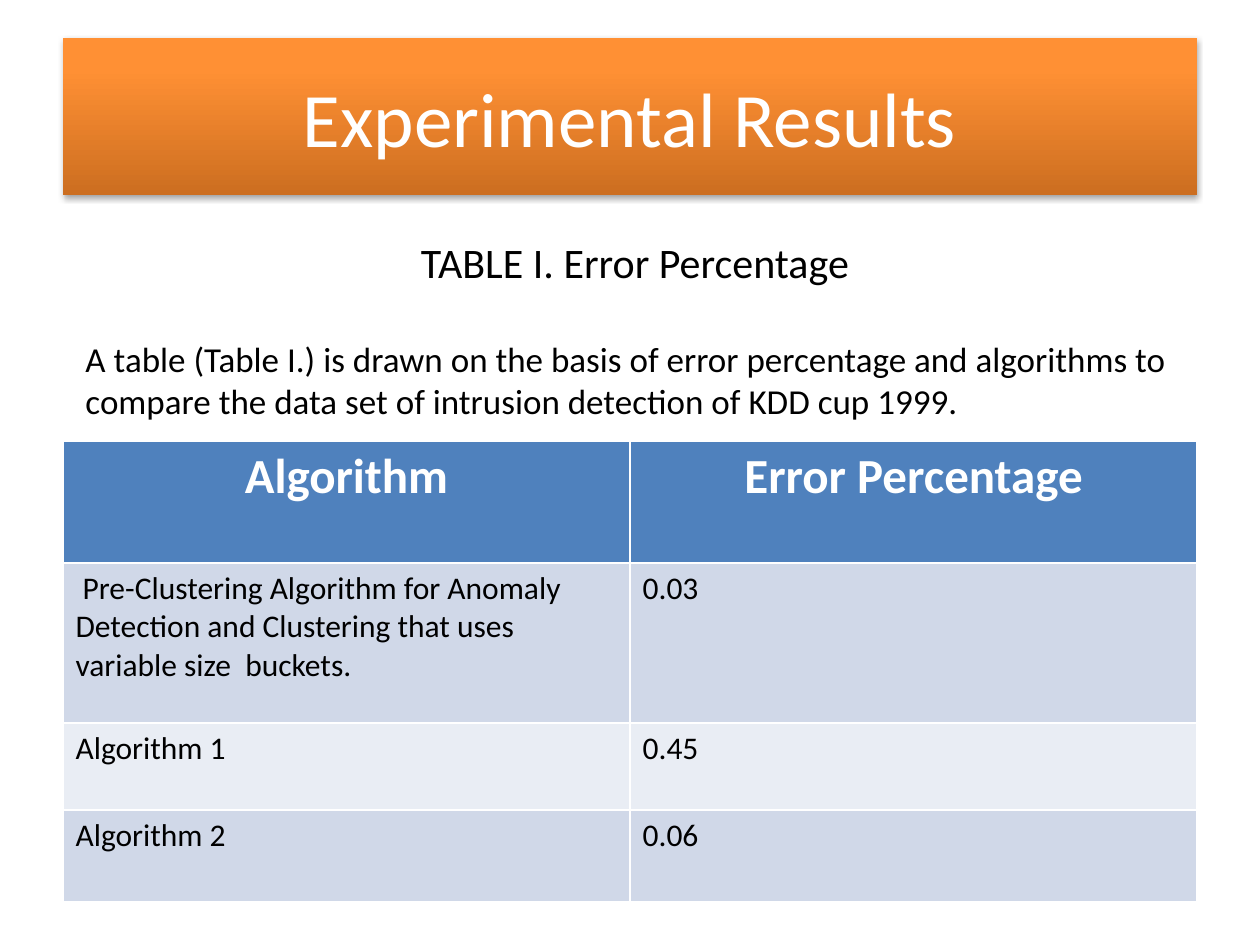
from pptx import Presentation
from pptx.dml.color import RGBColor
from pptx.enum.text import MSO_ANCHOR, PP_ALIGN
from pptx.oxml import parse_xml
from pptx.oxml.ns import nsdecls
from pptx.util import Inches, Pt


def color(code):
    """Turn a hex string into a colour."""
    return RGBColor.from_string(code)


def write(para, text, size, code="000000", bold=False, align=None):
    """Add one formatted run to a paragraph."""
    run = para.add_run()
    run.text = text
    run.font.name = "Calibri"
    run.font.size = Pt(size)
    run.font.bold = bold
    run.font.color.rgb = color(code)
    para.alignment = align


deck = Presentation()
deck.slide_width, deck.slide_height = Inches(10), Inches(7.5)
slide = deck.slides.add_slide(deck.slide_layouts[5])

# Title banner
title = slide.shapes.title
title.left, title.top = Inches(0.5), Inches(0.3)
title.width, title.height = Inches(9), Inches(1.25)
title.text_frame.vertical_anchor = MSO_ANCHOR.MIDDLE
write(title.text_frame.paragraphs[0], "Experimental Results", 44, "FFFFFF",
      align=PP_ALIGN.CENTER)

# Gradient with three stops and a soft shadow need XML
stops = "".join(
    f'<a:gs pos="{pos * 1000}"><a:srgbClr val="{code}"/></a:gs>'
    for pos, code in [(0, "CC6E20"), (80, "FF9034"), (100, "FF9136")])
props = title.element.spPr
props.append(parse_xml(
    f'<a:gradFill {nsdecls("a")} rotWithShape="1"><a:gsLst>{stops}</a:gsLst>'
    '<a:lin ang="16200000" scaled="0"/></a:gradFill>'))
props.append(parse_xml(
    f'<a:effectLst {nsdecls("a")}>'
    '<a:outerShdw blurRad="40000" dist="23000" dir="5400000" rotWithShape="0">'
    '<a:srgbClr val="000000"><a:alpha val="35000"/></a:srgbClr>'
    '</a:outerShdw></a:effectLst>'))

# Results table
rows = [
    ("Algorithm", "Error Percentage"),
    ("\u00a0Pre-Clustering Algorithm for Anomaly Detection and Clustering "
     "that uses variable size  buckets.", "0.03"),
    ("Algorithm 1", "0.45"),
    ("Algorithm 2", "0.06"),
]
heights = [0.97, 1.27, 0.69, 0.73]
fills = ["4F81BD", "D0D8E8", "E9EDF4", "D0D8E8"]
table = slide.shapes.add_table(len(rows), 2, Inches(0.5), Inches(3.5),
                               Inches(9), Inches(sum(heights))).table
for r, (texts, height, fill) in enumerate(zip(rows, heights, fills)):
    table.rows[r].height = Inches(height)
    for c, text in enumerate(texts):
        cell = table.cell(r, c)
        cell.fill.solid()
        cell.fill.fore_color.rgb = color(fill)
        para = cell.text_frame.paragraphs[0]
        if r == 0:
            write(para, text, 28, "FFFFFF", True, PP_ALIGN.CENTER)
        else:
            write(para, text, 18)

# Caption and introduction
box = slide.shapes.add_textbox(Inches(0.58), Inches(1.83),
                               Inches(8.92), Inches(1.58))
frame = box.text_frame
frame.word_wrap = True
write(frame.paragraphs[0], "TABLE I. Error Percentage", 24,
      align=PP_ALIGN.CENTER)
intro = frame.add_paragraph()
intro.space_before = Pt(29)
write(intro, "A table (Table I.) is drawn on the basis of error percentage and "
      "algorithms to compare the data set of intrusion detection of KDD cup "
      "1999.", 20)

deck.save("out.pptx")
